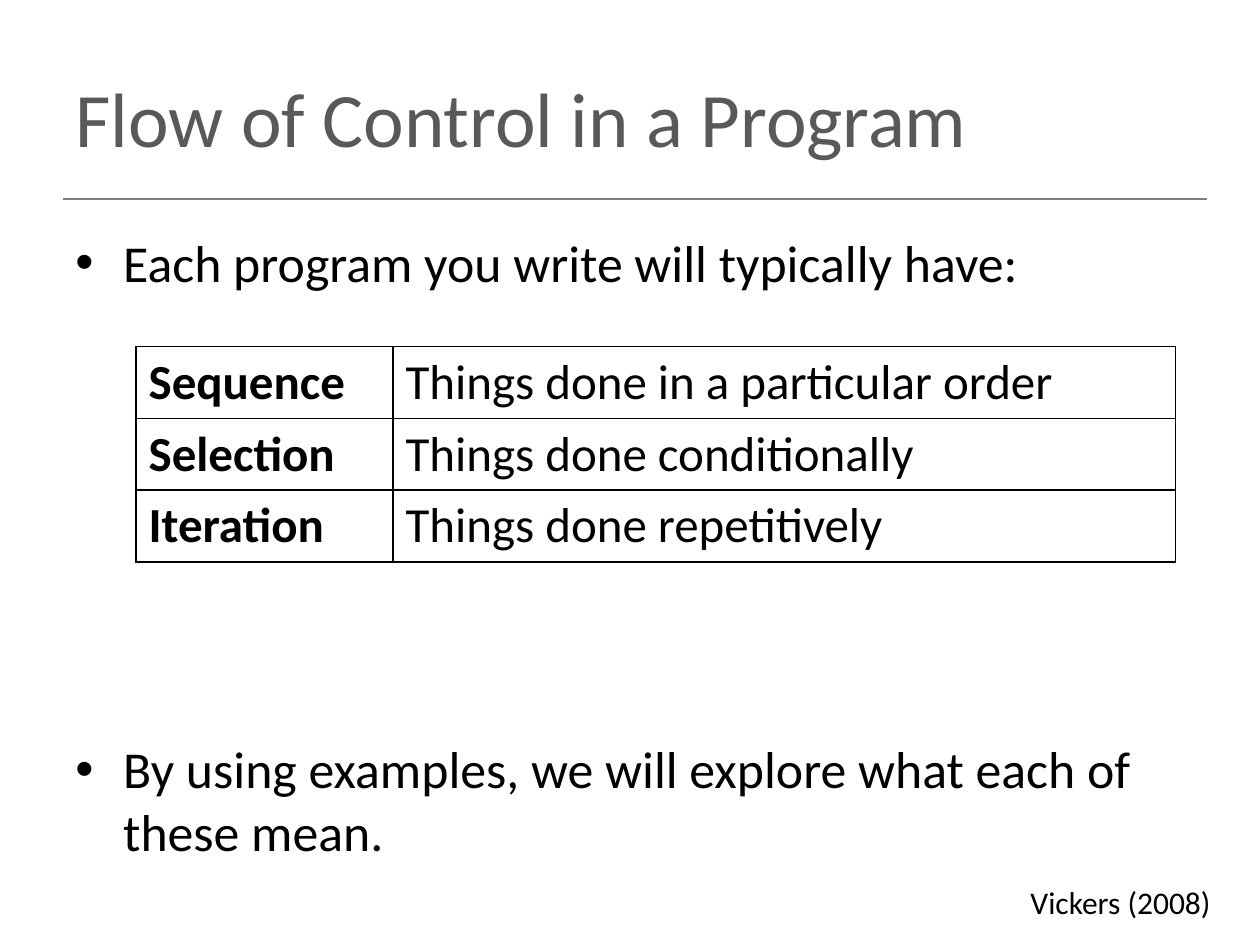
from lxml import etree
from pptx import Presentation
from pptx.dml.color import RGBColor
from pptx.enum.shapes import MSO_CONNECTOR
from pptx.enum.text import MSO_ANCHOR
from pptx.oxml.ns import qn
from pptx.util import Inches, Pt

STRAIGHT = MSO_CONNECTOR.STRAIGHT
MIDDLE = MSO_ANCHOR.MIDDLE
BLACK = RGBColor(0x00, 0x00, 0x00)
TITLE_GRAY = RGBColor(0x59, 0x59, 0x59)
RULE_GRAY = RGBColor(0x80, 0x80, 0x80)
FONT = "Calibri"
BULLETS = [
    ("Each program you write will typically have:", 0),
    ("By using examples, we will explore what each of these mean.", 254),
]
CONTROL_ROWS = [
    ("Sequence", "Things done in a particular order"),
    ("Selection", "Things done conditionally"),
    ("Iteration", "Things done repetitively"),
]


def add_run(paragraph, text, size, color=BLACK, bold=False):
    run = paragraph.add_run()
    run.text = text
    run.font.name = FONT
    run.font.size = Pt(size)
    run.font.color.rgb = color
    run.font.bold = bold


def add_text_frame(left, top, width, height):
    box = slide.shapes.add_textbox(Inches(left), Inches(top), Inches(width), Inches(height))
    box.text_frame.word_wrap = True
    return box.text_frame


presentation = Presentation()
presentation.slide_width = Inches(10)
presentation.slide_height = Inches(7.5)
slide = presentation.slides.add_slide(presentation.slide_layouts[6])

title_rule = slide.shapes.add_connector(
    STRAIGHT, Inches(0.5), Inches(1.58), Inches(9.58), Inches(1.58)
)
title_rule.line.color.rgb = RULE_GRAY
title_rule.line.width = Pt(1)
etree.SubElement(title_rule._element.spPr, qn("a:effectLst"))

title_frame = add_text_frame(0.5, 0.3, 9, 1.25)
title_frame.vertical_anchor = MIDDLE
add_run(title_frame.paragraphs[0], "Flow of Control in a Program", 44, TITLE_GRAY)

body_frame = add_text_frame(0.5, 1.78, 9, 4.95)
for index, (text, space_before) in enumerate(BULLETS):
    paragraph = body_frame.add_paragraph() if index else body_frame.paragraphs[0]
    paragraph.space_before = Pt(space_before)
    properties = paragraph._p.get_or_add_pPr()
    properties.set("marL", str(Inches(0.38)))
    properties.set("indent", str(Inches(-0.38)))
    etree.SubElement(properties, qn("a:buFont"), typeface="Arial")
    etree.SubElement(properties, qn("a:buChar"), char="•")
    add_run(paragraph, text, 29.6)

table = slide.shapes.add_table(
    len(CONTROL_ROWS), 2, Inches(1.08), Inches(2.75), Inches(8.25), Inches(1.71)
).table
table.first_row = False
table.horz_banding = False
table.columns[0].width = Inches(2.04)
table.columns[1].width = Inches(6.21)
for row_index, row_texts in enumerate(CONTROL_ROWS):
    table.rows[row_index].height = Inches(0.57)
    for column_index, text in enumerate(row_texts):
        cell = table.cell(row_index, column_index)
        add_run(cell.text_frame.paragraphs[0], text, 28, bold=column_index == 0)
        properties = cell._tc.get_or_add_tcPr()
        for side in ("a:lnL", "a:lnR", "a:lnT", "a:lnB"):
            border = etree.SubElement(properties, qn(side), w=str(Pt(1)))
            border_fill = etree.SubElement(border, qn("a:solidFill"))
            etree.SubElement(border_fill, qn("a:srgbClr"), val=str(BLACK))
        cell.fill.background()

citation_frame = add_text_frame(8.08, 6.96, 1.83, 0.4)
add_run(citation_frame.paragraphs[0], "Vickers (2008)", 18)

presentation.save("out.pptx")
